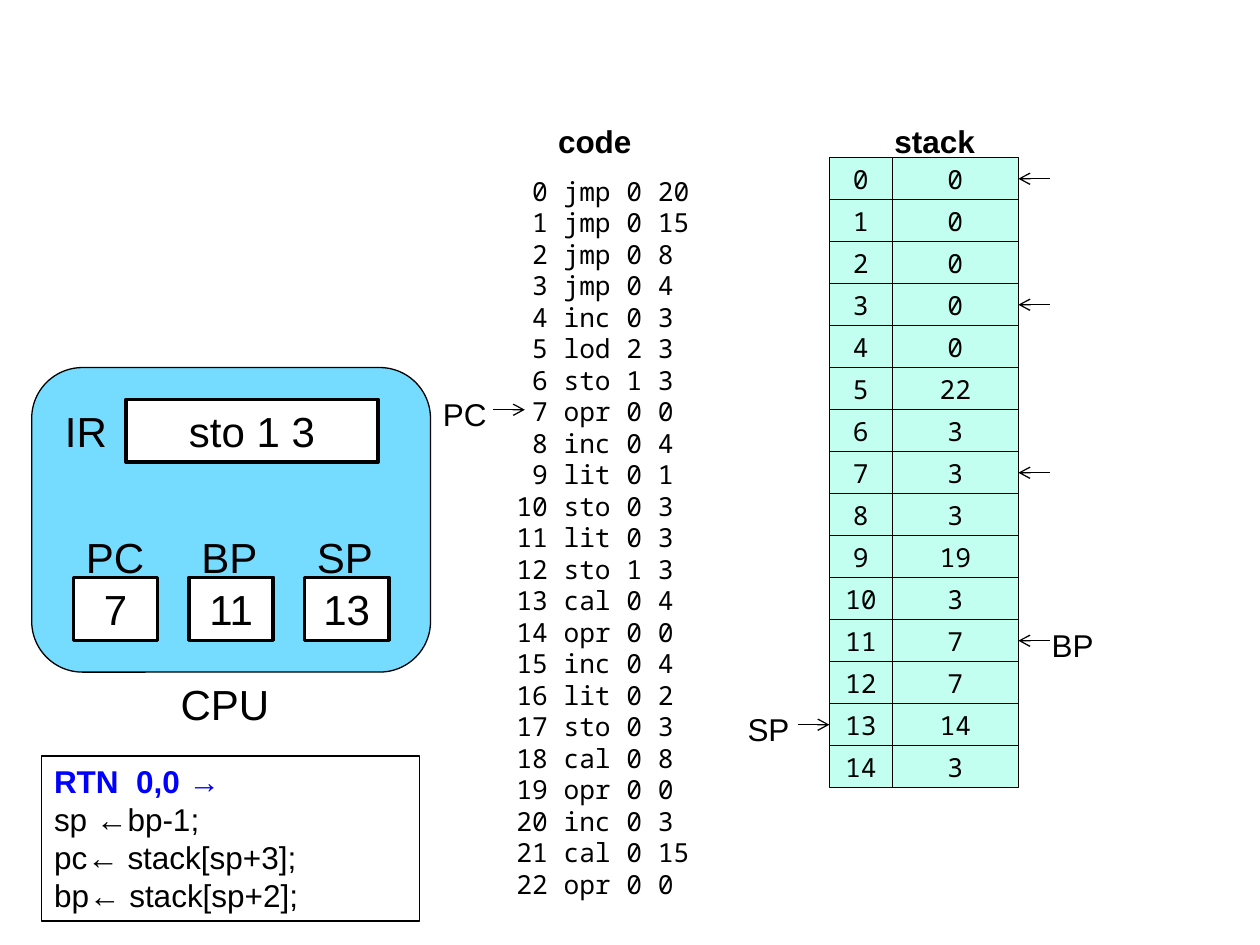
from dataclasses import dataclass

from lxml.etree import SubElement
from pptx import Presentation
from pptx.dml.color import RGBColor as RGB
from pptx.enum.shapes import MSO_CONNECTOR as CONN, MSO_SHAPE as SHAPE
from pptx.enum.text import MSO_ANCHOR as ANCHOR, PP_ALIGN as ALIGN
from pptx.oxml.ns import qn
from pptx.util import Cm, Pt


@dataclass(frozen=True)
class Theme:
    """Colours, fonts and type sizes of the slide."""
    ink: RGB = RGB(0, 0, 0)
    paper: RGB = RGB(255, 255, 255)
    accent: RGB = RGB(0, 0, 255)
    cpu: RGB = RGB(0x75, 0xDB, 0xFF)
    cell: RGB = RGB(0xC2, 0xFF, 0xF0)
    sans: str = "Arial"
    mono: str = "Noto Sans Mono"
    large: int = 24
    medium: int = 18
    small: int = 15
    thin: float = 0.75
    thick: float = 2


T = Theme()
CODE = ["jmp 0 20", "jmp 0 15", "jmp 0 8", "jmp 0 4", "inc 0 3", "lod 2 3",
        "sto 1 3", "opr 0 0", "inc 0 4", "lit 0 1", "sto 0 3", "lit 0 3",
        "sto 1 3", "cal 0 4", "opr 0 0", "inc 0 4", "lit 0 2", "sto 0 3",
        "cal 0 8", "opr 0 0", "inc 0 3", "cal 0 15", "opr 0 0"]
STACK = [0, 0, 0, 0, 0, 22, 3, 3, 3, 19, 3, 7, 7, 14, 3]
REGISTERS = {"PC": 7, "BP": 11, "SP": 13}
FRAME_ROWS = [0, 3, 7]
RETURN_STEPS = ["RTN  0,0 →", "sp ←bp-1;", "pc← stack[sp+3];", "bp← stack[sp+2];"]


def write(tf, lines, size, font=T.sans, bold=False, align=ALIGN.LEFT, spacing=None):
    """Fill a text frame with one paragraph per line."""
    for i, line in enumerate(lines):
        p = tf.paragraphs[0] if i == 0 else tf.add_paragraph()
        p.text = line
        p.alignment = align
        p.line_spacing = spacing
        p.font.name, p.font.size, p.font.bold = font, Pt(size), bold
        p.font.color.rgb = T.ink


def add_text(s, x, y, w, h, lines, size, **style):
    """Add a wrapping text box."""
    tf = s.shapes.add_textbox(Cm(x), Cm(y), Cm(w), Cm(h)).text_frame
    tf.word_wrap = True
    write(tf, lines, size, **style)


def add_box(s, x, y, w, h, fill=None, weight=T.thin, kind=SHAPE.RECTANGLE):
    """Add an outlined shape and return it."""
    sp = s.shapes.add_shape(kind, Cm(x), Cm(y), Cm(w), Cm(h))
    sp.shadow.inherit = False
    if fill is None:
        sp.fill.background()
    else:
        sp.fill.solid()
        sp.fill.fore_color.rgb = fill
    sp.line.color.rgb = T.ink
    sp.line.width = Pt(weight)
    return sp


def add_value(s, x, y, w, h, value, size, fill, weight=T.thin, font=T.sans):
    """Add a filled box with a centred value."""
    tf = add_box(s, x, y, w, h, fill, weight).text_frame
    tf.vertical_anchor = ANCHOR.MIDDLE
    write(tf, [str(value)], size, font, align=ALIGN.CENTER)


def add_pointer(s, tip, y, label="", from_left=False):
    """Add a short arrow ending at tip, with its label behind it."""
    tail = tip - 0.64 if from_left else tip + 0.64
    cxn = s.shapes.add_connector(CONN.STRAIGHT, Cm(tail), Cm(y), Cm(tip), Cm(y))
    cxn.line.color.rgb = T.ink
    cxn.line.width = Pt(T.thin)
    props = cxn._element.spPr
    SubElement(props.find(qn("a:ln")), qn("a:tailEnd"), type="arrow")
    SubElement(props, qn("a:effectLst"))
    if label:
        x = tip - 1.9 if from_left else tip + 0.42
        add_text(s, x, y - 0.42, 1.7, 1.02, [label], T.medium)


def add_code(s, x, y, w, h):
    """Place the numbered program listing, its heading and the PC pointer."""
    listing = [f"{i:>2} {op}" for i, op in enumerate(CODE)]
    add_text(s, x + 0.84, y, 2.3, 1.02, ["code"], T.medium, bold=True)
    add_text(s, x, y + 1.06, w, h - 1.06, listing, T.small, font=T.mono,
             spacing=Pt(18))
    add_pointer(s, x + 0.42, y + 5.92, "PC", from_left=True)


def add_cpu(s, x, y, w, h):
    """Place the processor with its instruction register and pointers."""
    add_box(s, x, y, w, h, T.cpu, kind=SHAPE.ROUNDED_RECTANGLE)
    add_value(s, x + 1.9, y + 0.64, 5.08, 1.27, "sto 1 3", T.large, T.paper, T.thick)
    add_text(s, x + 0.42, y + 0.64, 2.12, 1.27, ["IR"], T.large)
    for i, (name, value) in enumerate(REGISTERS.items()):
        left = x + 0.84 + i * 2.33
        add_value(s, left, y + 4.23, 1.7, 1.27, value, T.large, T.paper, T.thick)
        add_text(s, left, y + 3.18, 2.12, 1.27, [name], T.large)
    add_text(s, x + 2.75, y + h, 2.33, 1.27, ["CPU"], T.large)


def add_stack(s, x, y, w, h):
    """Place the stack cells, their heading and the frame pointers."""
    row, index_w = h / len(STACK), w / 3
    add_text(s, x + 1.06, y - 0.85, 2.3, 1.04, ["stack"], T.medium, bold=True)
    for i, value in enumerate(STACK):
        top = y + i * row
        add_value(s, x + index_w, top, w - index_w, row, value, T.small, T.cell,
                  font=T.mono)
        add_value(s, x, top, index_w, row, i, T.small, T.cell, font=T.mono)
    for i in FRAME_ROWS:
        add_pointer(s, x + w, y + (i + 0.5) * row)
    add_pointer(s, x + w, y + (REGISTERS["BP"] + 0.5) * row, "BP")
    add_pointer(s, x, y + (REGISTERS["SP"] + 0.5) * row, "SP", from_left=True)


def add_return_steps(s, x, y, w, h):
    """Place the framed steps of the return instruction."""
    tf = add_box(s, x, y, w, h).text_frame
    tf.word_wrap = True
    tf.vertical_anchor = ANCHOR.TOP
    write(tf, RETURN_STEPS, T.medium)
    head = tf.paragraphs[0].font
    head.bold = True
    head.color.rgb = T.accent


def main():
    """Build and save the slide."""
    prs = Presentation()
    prs.slide_width, prs.slide_height = Cm(25.4), Cm(19.05)
    s = prs.slides.add_slide(prs.slide_layouts[6])
    add_code(s, 10.16, 2.34, 5.92, 16.71)
    add_cpu(s, 0.64, 7.41, 8.04, 6.14)
    add_stack(s, 16.72, 3.18, 3.81, 12.7)
    add_return_steps(s, 0.84, 15.24, 7.62, 3.33)
    prs.save("out.pptx")


if __name__ == "__main__":
    main()
